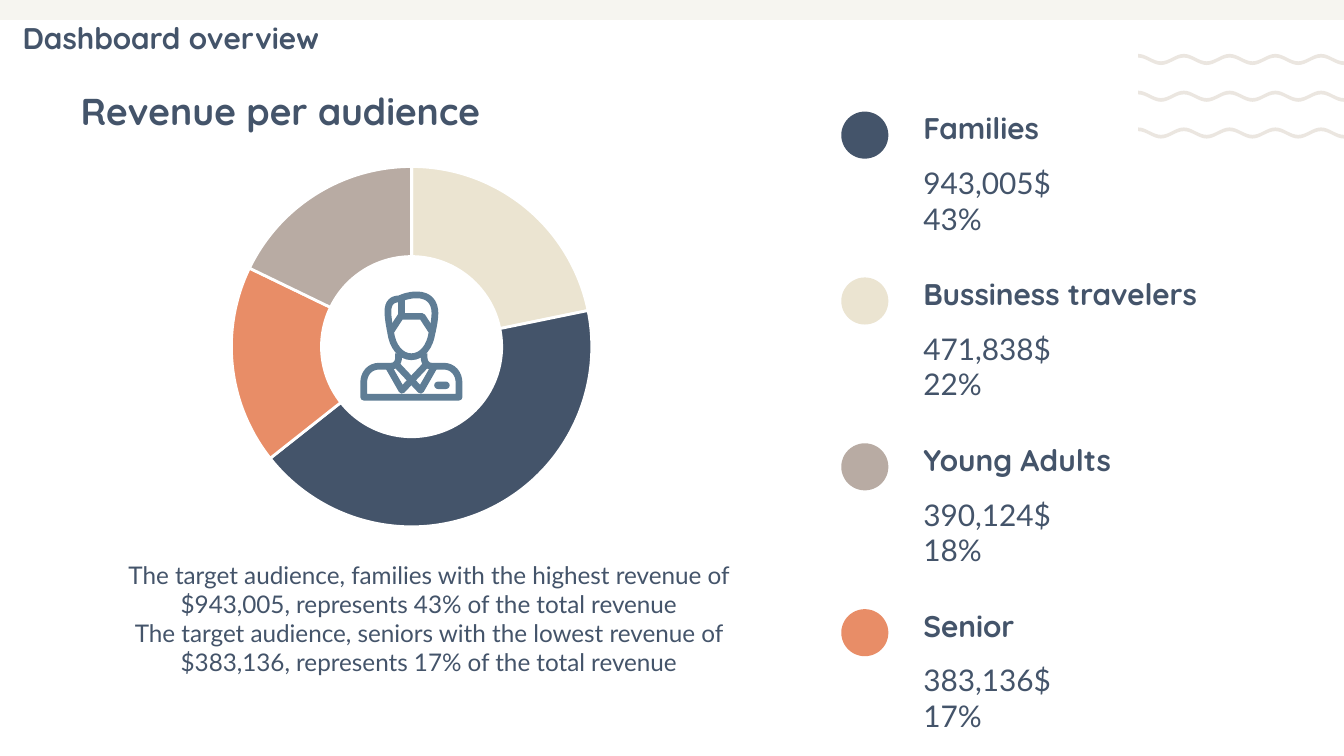
from math import cos, pi
from typing import NamedTuple

from pptx import Presentation
from pptx.chart.data import CategoryChartData
from pptx.dml.color import RGBColor
from pptx.enum.chart import XL_CHART_TYPE as ChartType
from pptx.enum.shapes import MSO_SHAPE as Shape
from pptx.enum.text import MSO_ANCHOR as Anchor, PP_ALIGN as Align
from pptx.oxml import parse_xml
from pptx.oxml.ns import nsdecls, qn
from pptx.util import Cm, Pt

NAVY = RGBColor(0x44, 0x54, 0x6A)
CREAM = RGBColor(0xEB, 0xE4, 0xD1)
TAUPE = RGBColor(0xB8, 0xAB, 0xA3)
ORANGE = RGBColor(0xE8, 0x8D, 0x67)
STEEL = RGBColor(0x5F, 0x7D, 0x95)
SAND = RGBColor(0xEB, 0xE6, 0xE0)
BAND = RGBColor(0xF6, 0xF5, 0xF0)
WHITE = RGBColor(0xFF, 0xFF, 0xFF)

HEADING_FONT = "Quicksand"
BODY_FONT = "Lato"

AUDIENCES = [
    ("Families", "943,005$\n43%", NAVY),
    ("Bussiness travelers", "471,838$\n22%", CREAM),
    ("Young Adults", "390,124$\n18%", TAUPE),
    ("Senior", "383,136$\n17%", ORANGE),
]
SLICES = [(22, CREAM), (43, NAVY), (18, ORANGE), (18, TAUPE)]
SUMMARY = (
    "The target audience, families with the highest revenue of $943,005, "
    "represents 43% of the total revenue\n"
    "The target audience, seniors with the lowest revenue of $383,136, "
    "represents 17% of the total revenue"
)


class Box(NamedTuple):
    """A rectangle in centimetres."""
    left: float
    top: float
    width: float
    height: float

    def lengths(self):
        return [Cm(value) for value in self]


def add_text(page, box, text, font=HEADING_FONT, size=16, bold=True, align=Align.LEFT):
    frame = page.shapes.add_textbox(*box.lengths()).text_frame
    frame.word_wrap = True
    frame.vertical_anchor = Anchor.TOP
    frame.margin_left = frame.margin_right = Cm(0.25)
    frame.margin_top = frame.margin_bottom = Cm(0.25)
    for index, line in enumerate(text.split("\n")):
        para = frame.paragraphs[0] if index == 0 else frame.add_paragraph()
        para.alignment = align
        span = para.add_run()
        span.text = line
        span.font.name = font
        span.font.size = Pt(size)
        span.font.bold = bold
        span.font.color.rgb = NAVY


def fill_plain(shape, color):
    shape.shadow.inherit = False
    shape.fill.solid()
    shape.fill.fore_color.rgb = color
    shape.line.fill.background()


def add_plain_shape(page, kind, box, color):
    shape = page.shapes.add_shape(kind, *box.lengths())
    fill_plain(shape, color)
    return shape


def add_outline(page, points, closed):
    """Build a freeform through points given in centimetres."""
    start, *rest = [(Cm(x), Cm(y)) for x, y in points]
    builder = page.shapes.build_freeform(*start, scale=1.0)
    builder.add_line_segments(rest, close=closed)
    return builder.convert_to_shape()


def add_waves(page, box, count=3, periods=4.5, thickness=0.07, swing=0.14):
    pitch = (box.height - swing - thickness) / (count - 1)
    steps = int(periods * 16)
    for row in range(count):
        upper = [
            (box.left + box.width * step / steps,
             box.top + row * pitch + swing * (1 - cos(2 * pi * periods * step / steps)) / 2)
            for step in range(steps + 1)
        ]
        lower = [(x, y + thickness) for x, y in reversed(upper)]
        fill_plain(add_outline(page, upper + lower, closed=True), SAND)


def add_doughnut(page, box):
    data = CategoryChartData()
    data.categories = [str(number + 1) for number in range(len(SLICES))]
    data.add_series("Series 1", [value for value, _ in SLICES])
    chart = page.shapes.add_chart(ChartType.DOUGHNUT, *box.lengths(), data).chart
    chart.has_legend = False
    chart.has_title = False
    chart.font.name = HEADING_FONT
    chart.font.size = Pt(10)
    chart.font.color.rgb = NAVY
    plot = chart.plots[0]
    plot.vary_by_categories = True
    for index, (_, color) in enumerate(SLICES):
        look = plot.series[0].points[index].format
        look.fill.solid()
        look.fill.fore_color.rgb = color
        look.line.color.rgb = WHITE
        look.line.width = Pt(1.5)
    ring = chart.element.find(".//" + qn("c:doughnutChart"))
    ring.find(qn("c:holeSize")).set("val", "62")
    area = chart.element.find(".//" + qn("c:plotArea"))
    for layout in area.findall(qn("c:layout")):
        area.remove(layout)
    area.insert(0, parse_xml(
        f'<c:layout {nsdecls("c")}><c:manualLayout><c:layoutTarget val="inner"/>'
        '<c:xMode val="edge"/><c:yMode val="edge"/><c:x val="0.18"/><c:y val="0.05"/>'
        '<c:w val="0.64"/><c:h val="0.9"/></c:manualLayout></c:layout>'))


def flatten(start, *segments, steps=8):
    """Turn lines (x, y) and cubic curves (x1, y1, x2, y2, x, y) into points."""
    points = [start]
    for segment in segments:
        if len(segment) == 2:
            points.append(segment)
            continue
        knots = [points[-1], segment[:2], segment[2:4], segment[4:]]
        for step in range(1, steps + 1):
            t = step / steps
            weights = ((1 - t) ** 3, 3 * t * (1 - t) ** 2, 3 * t * t * (1 - t), t ** 3)
            points.append(tuple(
                sum(weight * knot[axis] for weight, knot in zip(weights, knots))
                for axis in (0, 1)))
    return points


def add_person_icon(page, box):
    """Draw a person in a jacket on a grid 76 units wide and 81 high."""
    def mirror(points):
        return [(76 - x, y) for x, y in points]

    shoulder = flatten((28.5, 46), (28.5, 49), (28.5, 53, 26, 55.5, 23, 55.5), (14, 55.5),
                       (7, 55.5, 2.5, 61, 2.5, 68), (2.5, 78.5))
    face = flatten((22.5, 30), (30, 18.5), (46, 18.5), (53.5, 30),
                   (52, 41, 46, 48.5, 38, 48.5), (30, 48.5, 24, 41, 22.5, 30))
    hair = flatten((22.5, 30), (21.5, 25, 20.5, 19, 20.5, 15),
                   (20.5, 8, 24, 5.5, 29, 5.5), (33, 3.5, 38, 2.5, 42, 2.5),
                   (51, 2.5, 55.5, 8, 55.5, 16), (55.5, 20, 54.5, 26, 53.5, 30))
    parting = [(30.5, 5.5), (30.5, 18.5)]
    lapel = [(21, 56), (31, 73.5), (48, 55.5)]
    strokes = [(shoulder + mirror(shoulder)[::-1], False), (face, True), (hair, False),
               (parting, False), (lapel, False), (mirror(lapel), False),
               ([(2.5, 78.5), (73.5, 78.5)], False)]
    across, down = box.width / 76, box.height / 81
    for points, closed in strokes:
        placed = [(box.left + x * across, box.top + y * down) for x, y in points]
        stroke = add_outline(page, placed, closed)
        stroke.shadow.inherit = False
        stroke.fill.background()
        stroke.line.color.rgb = STEEL
        stroke.line.width = Pt(3.6)
    pocket = Box(box.left + 55 * across, box.top + 67 * down, 11.5 * across, 5.5 * down)
    add_plain_shape(page, Shape.ROUNDED_RECTANGLE, pocket, STEEL).adjustments[0] = 0.5


def add_legend(page, box):
    pitch = box.height / len(AUDIENCES)
    text_left = box.left + 1.3
    text_width = box.width - 1.3
    for row, (name, figures, color) in enumerate(AUDIENCES):
        top = box.top + row * pitch
        add_plain_shape(page, Shape.OVAL, Box(box.left, top + 0.28, 0.89, 0.89), color)
        add_text(page, Box(text_left, top, text_width, 1.17), name)
        add_text(page, Box(text_left, top + 1.03, text_width, 1.83), figures,
                 font=BODY_FONT, bold=False)


def add_revenue_panel(page, box):
    add_text(page, Box(box.left, box.top, 8.46, 2.51), "Revenue per audience ",
             size=20, align=Align.CENTER)
    add_doughnut(page, Box(box.left + 1.24, box.top + 1.35, 10.74, 7.57))
    add_person_icon(page, Box(box.left + 5.64, box.top + 4.09, 1.93, 2.06))
    add_text(page, Box(box.left + 0.81, box.top + 8.92, 12.24, 2.82), SUMMARY,
             font=BODY_FONT, size=13, bold=False, align=Align.CENTER)


def main():
    deck = Presentation()
    deck.slide_width, deck.slide_height = Cm(25.4), Cm(14.29)
    page = deck.slides.add_slide(deck.slide_layouts[6])
    add_plain_shape(page, Shape.RECTANGLE, Box(0, 0, 25.4, 0.38), BAND)
    add_waves(page, Box(21.51, 1.02, 3.89, 1.6))
    add_text(page, Box(0.18, 0.13, 25.22, 1.37), "Dashboard overview")
    add_revenue_panel(page, Box(1.17, 1.42, 13.05, 11.74))
    add_legend(page, Box(15.9, 1.83, 7.52, 12.54))
    deck.save("out.pptx")


if __name__ == "__main__":
    main()
